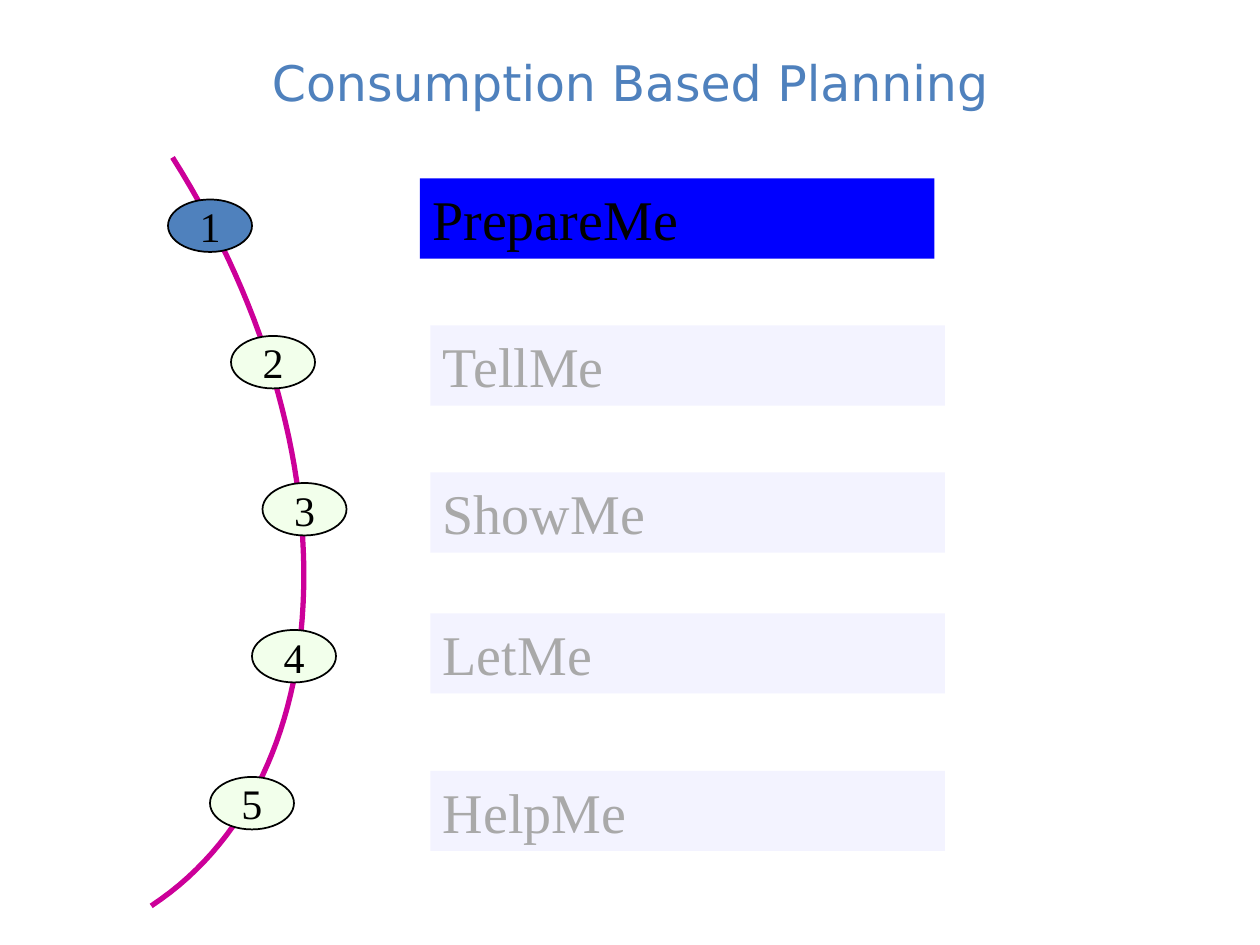
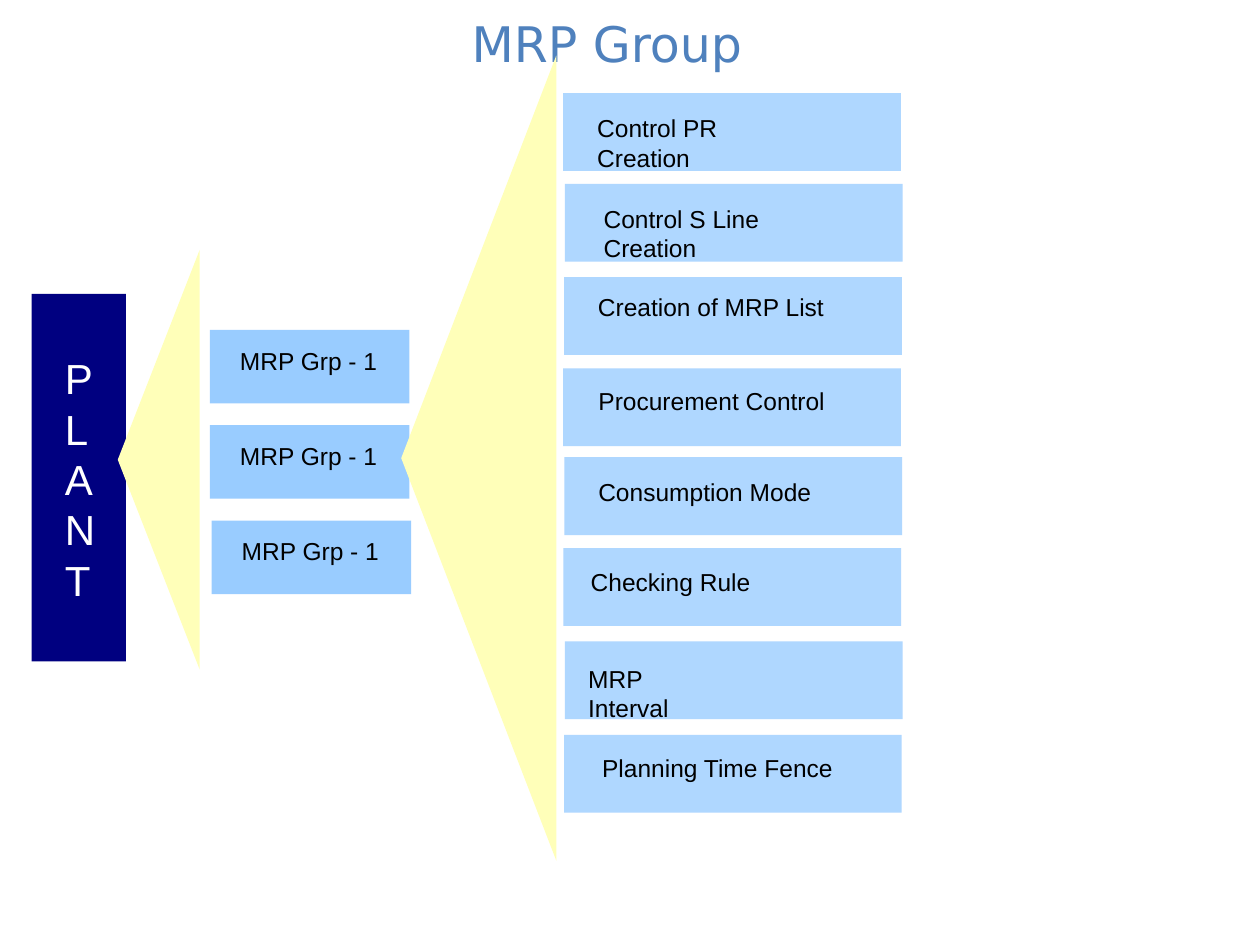
from dataclasses import dataclass

from lxml import etree
from pptx import Presentation
from pptx.dml.color import RGBColor
from pptx.enum import shapes, text
from pptx.util import Pt

SHAPE = shapes.MSO_SHAPE
ALIGN = text.PP_ALIGN
ANCHOR = text.MSO_ANCHOR


@dataclass(frozen=True)
class Theme:
    # Colours
    accent: str = "4F81BD"
    ink: str = "000000"
    white: str = "FFFFFF"
    curve: str = "CC0099"
    oval: str = "F2FFEB"
    active: str = "0000FF"
    faded: str = "F3F3FF"
    grey: str = "A9A9A9"
    navy: str = "000080"
    fan: str = "FFFFB9"
    group: str = "99CCFF"
    bar: str = "AFD7FF"
    # Fonts
    head: str = "DejaVu Sans"
    serif: str = "Times New Roman"
    sans: str = "Arial"
    # Type sizes
    title: int = 28
    step: int = 32
    large: int = 24
    label: int = 14


T = Theme()

# Steps: oval left and top, bar left and top, name
STEPS = [
    (96, 114, 240, 102, "PrepareMe"),
    (132, 192, 246, 186, "TellMe"),
    (150, 276, 246, 270, "ShowMe"),
    (144, 360, 246, 350.5, "LetMe"),
    (120, 444, 246, 440.5, "HelpMe"),
]
CURVE = [(98.6, 90), (203, 254.9), (198, 444.2), (86.4, 517.7)]

# Groups: left and top
GROUPS = [(120, 188.5), (120, 243), (121, 297.5)]

# Settings: bar left and top, text left, top and width, label
SETTINGS = [
    (321.8, 53.2, 334.2, 61.2, 139.7, "Control PR Creation"),
    (322.8, 105.1, 337.8, 112.8, 159.8, "Control S Line Creation"),
    (322.4, 158.4, 334.6, 163.4, 144, "Creation of MRP List"),
    (321.8, 210.5, 334.9, 216.9, 144, "Procurement Control"),
    (322.5, 261.3, 334.8, 268.8, 136.1, "Consumption Mode"),
    (322, 313.2, 330.5, 320.4, 105.8, "Checking Rule"),
    (322.8, 366.5, 329, 375.8, 95, "MRP Interval"),
    (322.3, 419.9, 337, 427, 146.9, "Planning Time Fence"),
]


def rgb(code):
    return RGBColor.from_string(code)


def write(shape, lines, font, size, color, align=ALIGN.LEFT,
          anchor=ANCHOR.TOP, wrap=True, pad=(7.2, 3.6)):
    frame = shape.text_frame
    frame.word_wrap = wrap
    frame.vertical_anchor = anchor
    frame.margin_left = frame.margin_right = Pt(pad[0])
    frame.margin_top = frame.margin_bottom = Pt(pad[1])
    for i, line in enumerate(lines):
        para = frame.add_paragraph() if i else frame.paragraphs[0]
        para.alignment = align
        run = para.add_run()
        run.text = line
        run.font.name = font
        run.font.size = Pt(size)
        run.font.color.rgb = rgb(color)


def add_text(slide, x, y, w, h, lines, *style, **opts):
    box = slide.shapes.add_textbox(Pt(x), Pt(y), Pt(w), Pt(h))
    write(box, lines, *style, **opts)


def add_block(slide, kind, x, y, w, h, fill, line=None):
    shape = slide.shapes.add_shape(kind, Pt(x), Pt(y), Pt(w), Pt(h))
    shape.shadow.inherit = False
    shape.fill.solid()
    shape.fill.fore_color.rgb = rgb(fill)
    if line:
        shape.line.color.rgb = rgb(line)
        shape.line.width = Pt(1)
    else:
        shape.line.fill.background()
    return shape


def add_title(slide, x, y, w, h, words):
    add_text(slide, x, y, w, h, [words], T.head, T.title, T.accent,
             align=ALIGN.CENTER, anchor=ANCHOR.MIDDLE, pad=(0, 0))


def add_label(slide, x, y, w, words):
    add_text(slide, x, y, w, 24.3, [words], T.sans, T.label, T.ink, wrap=False)


def add_fan(slide, x, y, w, h):
    """Triangle that points left and fills the upright frame x, y, w, h."""
    fan = add_block(slide, SHAPE.ISOSCELES_TRIANGLE,
                    x + (w - h) / 2, y + (h - w) / 2, h, w, T.fan)
    fan.rotation = 270


def add_curve(slide, knots, count=60):
    """Open cubic curve through the first and last knot."""
    spots = []
    for i in range(count + 1):
        t = i / count
        parts = ((1 - t) ** 3, 3 * t * (1 - t) ** 2, 3 * t * t * (1 - t), t ** 3)
        spots.append([Pt(sum(p * k[axis] for p, k in zip(parts, knots)))
                      for axis in (0, 1)])
    pen = slide.shapes.build_freeform(*spots[0])
    pen.add_line_segments(spots[1:], close=False)
    curve = pen.convert_to_shape()
    curve.shadow.inherit = False
    curve.fill.background()
    curve.line.color.rgb = rgb(T.curve)
    curve.line.width = Pt(3)


def add_step(slide, num, ox, oy, bx, by, name):
    active = num == 1
    oval = add_block(slide, SHAPE.OVAL, ox, oy, 48, 30,
                     T.accent if active else T.oval, T.ink)
    write(oval, [str(num)], T.serif, T.large, T.ink,
          align=ALIGN.CENTER, anchor=ANCHOR.MIDDLE, wrap=False)
    bar = add_block(slide, SHAPE.RECTANGLE, bx, by, 294, 45.8,
                    T.active if active else T.faded)
    write(bar, [name], T.serif, T.step, T.ink if active else T.grey)


def draw_steps(slide):
    add_title(slide, 36, 21.6, 648, 50.4, "Consumption Based Planning")
    add_curve(slide, CURVE)
    for num, step in enumerate(STEPS, 1):
        add_step(slide, num, *step)


def draw_group(slide):
    add_title(slide, 2.9, 7.9, 687.6, 33.8, "MRP Group")

    # Plant
    add_block(slide, SHAPE.RECTANGLE, 18, 168, 54, 210, T.navy)
    add_text(slide, 30, 198, 27.4, 151.2, "PLANT", T.sans, T.large, T.white)
    add_fan(slide, 67.3, 142.8, 46.8, 239.8)

    # Groups
    for x, y in GROUPS:
        add_block(slide, SHAPE.RECTANGLE, x, y, 114, 42, T.group)
        add_label(slide, x + 10, y + 5.4, 92.9, "MRP Grp - 1")
    add_fan(slide, 229.3, 31.7, 88.6, 460.1)

    # Settings
    for bx, by, x, y, w, words in SETTINGS:
        add_block(slide, SHAPE.RECTANGLE, bx, by, 193, 44.5, T.bar)
        add_label(slide, x, y, w, words)


def main():
    deck = Presentation()
    deck.slide_width, deck.slide_height = Pt(720), Pt(540)
    for draw in (draw_steps, draw_group):
        draw(deck.slides.add_slide(deck.slide_layouts[6]))
    deck.save("out.pptx")


if __name__ == "__main__":
    main()
